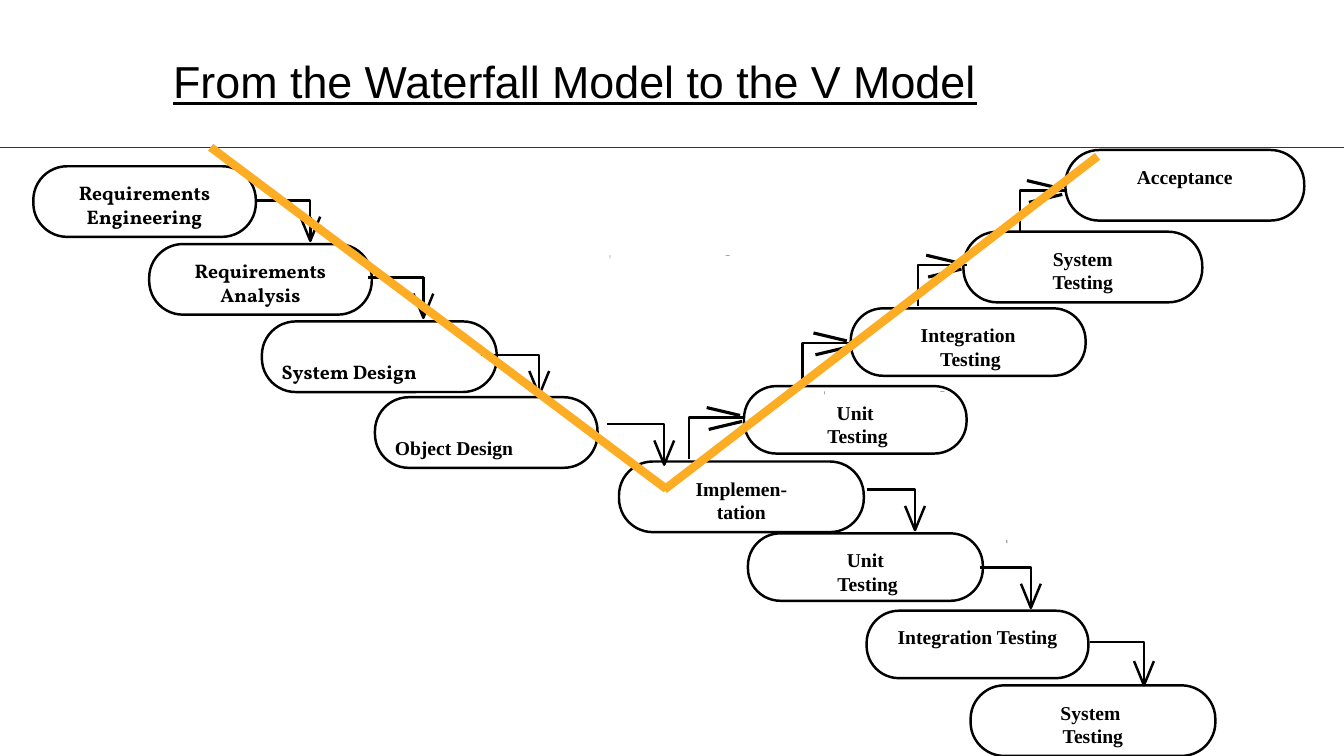
from dataclasses import dataclass

from lxml.etree import SubElement
from pptx import Presentation
from pptx.dml.color import RGBColor
from pptx.enum.shapes import MSO_CONNECTOR, MSO_SHAPE
from pptx.enum.text import MSO_ANCHOR, MSO_AUTO_SIZE, PP_ALIGN
from pptx.oxml.ns import qn
from pptx.shapes.base import BaseShape
from pptx.slide import Slide
from pptx.util import Cm, Pt

Point = tuple[float, float]


@dataclass(frozen=True)
class Theme:
    ink: RGBColor = RGBColor(0, 0, 0)
    rule: RGBColor = RGBColor(0x35, 0x35, 0x37)
    accent: RGBColor = RGBColor(0xFD, 0xAD, 0x23)
    title_font: str = "Arial"
    design_font: str = "Vollkorn"
    testing_font: str = "Times New Roman"
    title_size: float = 32
    phase_size: float = 14
    rule_width: float = 1
    outline_width: float = 1.75
    barb_width: float = 2.25
    accent_width: float = 6


THEME = Theme()


@dataclass(frozen=True)
class Phase:
    lines: tuple[str, ...]
    left: float
    top: float
    width: float
    height: float = 1.78
    font: str = THEME.testing_font
    lowered: bool = False


@dataclass(frozen=True)
class DownArrow:
    left: float
    top: float
    right: float
    drop: float = 1.02


@dataclass(frozen=True)
class UpArrow:
    left: float
    top: float
    right: float
    barb_left: float


@dataclass(frozen=True)
class Speck:
    left: float
    top: float
    width: float
    height: float


PHASES = (
    Phase(("Requirements", "Engineering"), 0.84, 4.19, 5.61, font=THEME.design_font),
    Phase(("Requirements", "Analysis"), 3.76, 6.15, 5.61, font=THEME.design_font),
    Phase(("System Design",), 6.6, 8.1, 5.92, font=THEME.design_font, lowered=True),
    Phase(("Object Design",), 9.45, 10.01, 5.61, lowered=True),
    Phase(("Implemen-", "tation"), 15.6, 11.63, 6.17),
    Phase(("Unit", " Testing"), 18.85, 13.44, 5.92, 1.7),
    Phase(("Integration Testing",), 21.84, 15.39, 5.59, 1.7),
    Phase(("System ", "Testing"), 24.46, 17.27, 6.17),
    Phase(("Unit", " Testing"), 18.75, 9.73, 5.61, 1.7),
    Phase(("Integration", " Testing"), 21.44, 7.77, 5.92, 1.7),
    Phase(("System", "Testing"), 24.28, 5.84, 6.02),
    Phase(("Acceptance",), 26.85, 3.78, 6.02),
)
DOWN_ARROWS = (
    DownArrow(6.45, 5.05, 7.82),
    DownArrow(9.27, 6.99, 10.67),
    DownArrow(12.12, 8.94, 13.59),
    DownArrow(15.29, 10.69, 16.74),
    DownArrow(21.84, 12.34, 23.06),
    DownArrow(24.69, 14.3, 25.98),
    DownArrow(27.46, 16.18, 28.83, 1.09),
)
UP_ARROWS = (
    UpArrow(17.37, 10.52, 18.75, 17.81),
    UpArrow(20.22, 8.64, 21.51, 20.5),
    UpArrow(23.14, 6.68, 24.36, 23.34),
    UpArrow(25.7, 4.8, 26.9, 25.88),
)
SPECKS = (
    Speck(20.78, 9.86, 0.01, 0.08),
    Speck(23.7, 9.86, 0.1, 0.01),
    Speck(15.37, 6.43, 0.01, 0.08),
    Speck(18.29, 6.43, 0.1, 0.01),
    Speck(25.37, 13.61, 0.01, 0.08),
)


def outline(shape: BaseShape) -> None:
    shape.shadow.inherit = False
    shape.fill.background()
    shape.line.color.rgb = THEME.ink
    shape.line.width = Pt(THEME.outline_width)


def draw_line(slide: Slide, start: Point, end: Point, color: RGBColor = THEME.ink,
              width: float = THEME.outline_width) -> None:
    ends = [Cm(value) for value in (*start, *end)]
    connector = slide.shapes.add_connector(MSO_CONNECTOR.STRAIGHT, *ends)
    connector.line.color.rgb = color
    connector.line.width = Pt(width)
    SubElement(connector._element.spPr, qn("a:effectLst"))


def draw_polyline(slide: Slide, *points: Point) -> None:
    first, *others = [(Cm(x), Cm(y)) for x, y in points]
    builder = slide.shapes.build_freeform(*first)
    builder.add_line_segments(others, close=False)
    outline(builder.convert_to_shape())


def draw_phase(slide: Slide, phase: Phase) -> None:
    shape = slide.shapes.add_shape(MSO_SHAPE.ROUNDED_RECTANGLE, Cm(phase.left), Cm(phase.top),
                                   Cm(phase.width), Cm(phase.height))
    shape.adjustments[0] = 0.48
    outline(shape)
    frame = shape.text_frame
    frame.word_wrap = True
    frame.vertical_anchor = MSO_ANCHOR.TOP
    frame.margin_left = frame.margin_right = Cm(0.25)
    frame.margin_top = Cm(0.73 if phase.lowered else 0.13)
    frame.margin_bottom = Cm(0)
    for index, line in enumerate(phase.lines):
        paragraph = frame.add_paragraph() if index else frame.paragraphs[0]
        paragraph.alignment = PP_ALIGN.LEFT if phase.lowered else PP_ALIGN.CENTER
        run = paragraph.add_run()
        run.text = line
        run.font.name = phase.font
        run.font.size = Pt(THEME.phase_size)
        run.font.bold = True
        run.font.color.rgb = THEME.ink


def draw_down_arrow(slide: Slide, arrow: DownArrow) -> None:
    x, bend, tip = arrow.right, arrow.top + 0.42, arrow.top + arrow.drop
    draw_polyline(slide, (arrow.left, arrow.top), (x, arrow.top), (x, bend))
    draw_line(slide, (x, bend), (x, tip))
    draw_polyline(slide, (x + 0.25, tip - 0.61), (x, tip), (x - 0.25, tip - 0.61))


def draw_up_arrow(slide: Slide, arrow: UpArrow) -> None:
    x, y, barb = arrow.left, arrow.top, arrow.barb_left
    draw_polyline(slide, (arrow.right, y), (x, y), (x, y + 0.37))
    draw_line(slide, (x, y + 0.37), (x, y + 1.04))
    draw_line(slide, (barb, y - 0.25), (barb + 0.84, y - 0.05), width=THEME.barb_width)
    draw_line(slide, (barb + 0.05, y + 0.3), (barb + 0.89, y + 0.1), width=THEME.barb_width)


def draw_speck(slide: Slide, speck: Speck) -> None:
    shape = slide.shapes.add_shape(MSO_SHAPE.RECTANGLE, Cm(speck.left), Cm(speck.top),
                                   Cm(speck.width), Cm(speck.height))
    shape.shadow.inherit = False
    shape.fill.solid()
    shape.fill.fore_color.rgb = THEME.ink
    shape.line.fill.background()


def write_title(slide: Slide, text: str) -> None:
    title = slide.shapes.title
    title.left, title.top, title.width, title.height = Cm(4.11), Cm(1.22), Cm(25.37), Cm(1.63)
    frame = title.text_frame
    frame.auto_size = MSO_AUTO_SIZE.NONE
    frame.vertical_anchor = MSO_ANCHOR.MIDDLE
    paragraph = frame.paragraphs[0]
    paragraph.alignment = PP_ALIGN.LEFT
    run = paragraph.add_run()
    run.text = text
    run.font.name = THEME.title_font
    run.font.size = Pt(THEME.title_size)
    run.font.underline = True
    run.font.color.rgb = THEME.ink


def main() -> None:
    """Build the V model slide and save it."""
    presentation = Presentation()
    presentation.slide_width, presentation.slide_height = Cm(33.87), Cm(19.05)
    slide = presentation.slides.add_slide(presentation.slide_layouts[5])
    write_title(slide, "From the Waterfall Model to the V Model")
    draw_line(slide, (0, 3.71), (33.87, 3.71), THEME.rule, THEME.rule_width)
    for speck in SPECKS:
        draw_speck(slide, speck)
    for phase in PHASES:
        draw_phase(slide, phase)
    for down_arrow in DOWN_ARROWS:
        draw_down_arrow(slide, down_arrow)
    for up_arrow in UP_ARROWS:
        draw_up_arrow(slide, up_arrow)
    draw_line(slide, (5.31, 3.71), (16.79, 12.32), THEME.accent, THEME.accent_width)
    draw_line(slide, (16.74, 12.34), (27.66, 3.94), THEME.accent, THEME.accent_width)
    presentation.save("out.pptx")


if __name__ == "__main__":
    main()
